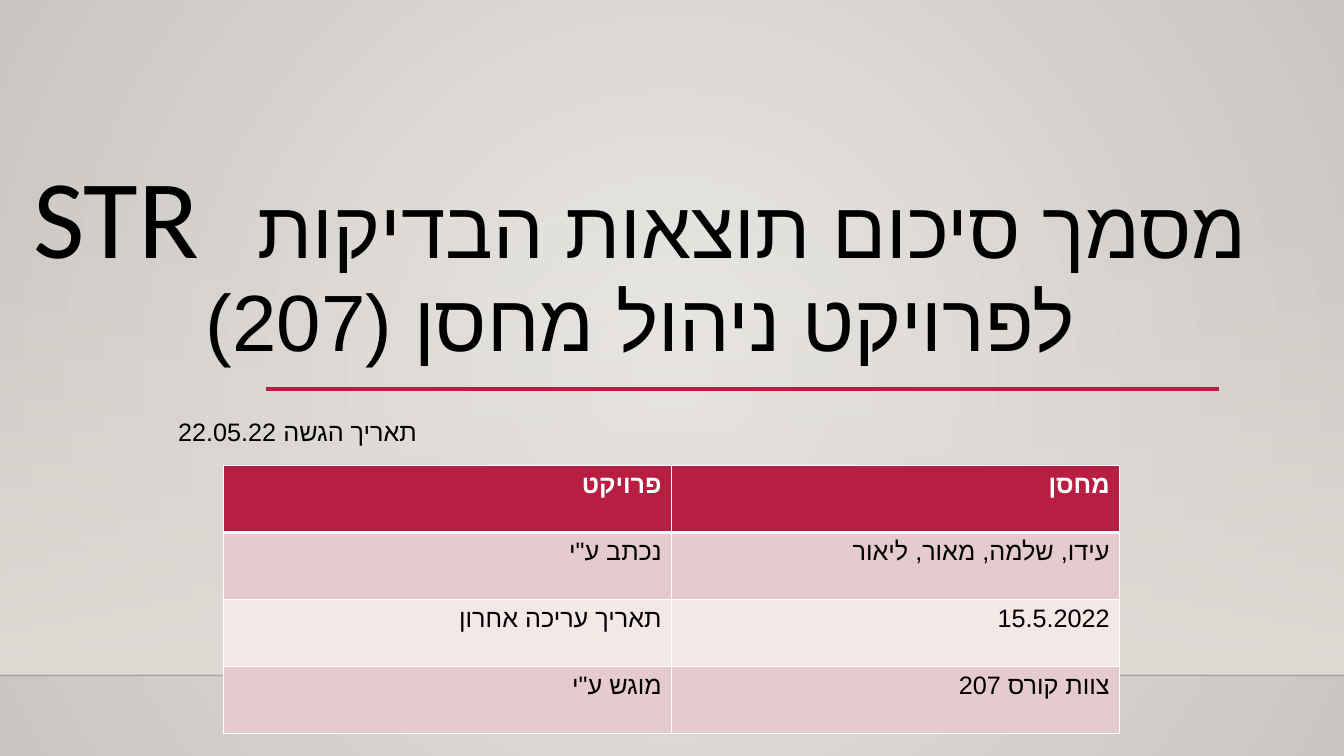
from pptx import Presentation
from pptx.dml.color import RGBColor
from pptx.enum.shapes import MSO_CONNECTOR, MSO_SHAPE
from pptx.enum.text import MSO_ANCHOR, MSO_AUTO_SIZE, PP_ALIGN
from pptx.oxml import parse_xml
from pptx.oxml.ns import nsdecls, qn
from pptx.util import Cm, Pt

LEFT, CENTER, RIGHT = PP_ALIGN.LEFT, PP_ALIGN.CENTER, PP_ALIGN.RIGHT
TOP, BOTTOM = MSO_ANCHOR.TOP, MSO_ANCHOR.BOTTOM
NO_FIT = MSO_AUTO_SIZE.NONE
RECT, STRAIGHT = MSO_SHAPE.RECTANGLE, MSO_CONNECTOR.STRAIGHT
WIDTH, HEIGHT = 33.87, 19.05


def rgb(value):
    return RGBColor.from_string(value)


def element(tag, attrs="", inner=""):
    return parse_xml(f"<a:{tag} {nsdecls('a')} {attrs}>{inner}</a:{tag}>")


def set_gradient(parent, stops, direction):
    inner = "".join(
        f'<a:gs pos="{pos * 1000}"><a:srgbClr val="{color}">'
        f'<a:alpha val="{alpha * 1000}"/></a:srgbClr></a:gs>'
        for pos, color, alpha in stops)
    grad = element("gradFill", 'rotWithShape="1"', f"<a:gsLst>{inner}</a:gsLst>{direction}")
    parent.replace(parent.find(qn("a:solidFill")), grad)


def add_run(p, text, size, font="Calibri", color="000000", bold=False, gap=0):
    r = p.add_run()
    r.text = text
    r.font.size, r.font.name, r.font.bold = Pt(size), font, bold
    r.font.color.rgb = rgb(color)
    rPr = r.font._element
    rPr.append(element("cs", 'typeface="Arial"'))
    if gap:
        rPr.set("spc", str(gap * 100))


def set_paragraph(p, align, spacing=1.0):
    p.alignment, p.line_spacing = align, spacing
    p.space_before = p.space_after = Pt(0)
    p._p.get_or_add_pPr().set("rtl", "1")


class SlideBuilder:
    accent, band_dark, band_light = "B71E42", "E5CBCD", "F3E7E8"

    def __init__(self, prs):
        self.s = prs.slides.add_slide(prs.slide_layouts[0])

    def background(self, center, edge):
        self.s.background.fill.solid()
        bgPr = self.s.background._cSld.find(qn("p:bg")).find(qn("p:bgPr"))
        set_gradient(bgPr, [(0, center, 100), (100, edge, 100)],
                     '<a:path path="circle"><a:fillToRect l="50000" t="50000" '
                     'r="50000" b="50000"/></a:path>')

    def fading_panel(self, x, y, w, h, color):
        sp = self.s.shapes.add_shape(RECT, Cm(x), Cm(y), Cm(w), Cm(h))
        sp.shadow.inherit = False
        sp.line.fill.background()
        sp.fill.solid()
        set_gradient(sp._element.spPr, [(0, color, 0), (100, color, 100)],
                     '<a:lin ang="5400000" scaled="0"/>')

    def rule(self, x1, x2, y, color, width, alpha=100):
        line = self.s.shapes.add_connector(STRAIGHT, Cm(x1), Cm(y), Cm(x2), Cm(y))
        line.line.width = Pt(width)
        line.line.color.rgb = rgb(color)
        spPr = line._element.spPr
        clr = spPr.find(qn("a:ln")).find(qn("a:solidFill"))[0]
        clr.append(element("alpha", f'val="{alpha * 1000}"'))
        spPr.append(element("effectLst"))

    def placeholder(self, idx, box, runs, align, anchor, spacing, top, bottom):
        sp = self.s.placeholders[idx]
        sp.left, sp.top, sp.width, sp.height = map(Cm, box)
        self.s.shapes._spTree.append(sp._element)
        tf = sp.text_frame
        tf.word_wrap, tf.auto_size, tf.vertical_anchor = True, NO_FIT, anchor
        tf.margin_left = tf.margin_right = Cm(0.25)
        tf.margin_top, tf.margin_bottom = Cm(top), Cm(bottom)
        p = tf.paragraphs[0]
        set_paragraph(p, align, spacing)
        for text, size, gap in runs:
            add_run(p, text, size, gap=gap)

    def table(self, x, y, w, h, rows):
        tbl = self.s.shapes.add_table(len(rows), len(rows[0]), Cm(x), Cm(y), Cm(w), Cm(h)).table
        for i, row in enumerate(rows):
            header = i == 0
            fill = self.accent if header else self.band_dark if i % 2 else self.band_light
            for j, text in enumerate(row):
                cell = tbl.cell(i, j)
                self.borders(cell, top=3 if i == 1 else 1, bottom=3 if header else 1)
                cell.fill.solid()
                cell.fill.fore_color.rgb = rgb(fill)
                p = cell.text_frame.paragraphs[0]
                set_paragraph(p, RIGHT)
                add_run(p, text, 18, "Arial", "FFFFFF" if header else "000000", header)

    def borders(self, cell, top, bottom):
        tcPr = cell._tc.get_or_add_tcPr()
        for side, width in (("L", 1), ("R", 1), ("T", top), ("B", bottom)):
            tcPr.append(element(f"ln{side}", f'w="{Pt(width)}"',
                                '<a:solidFill><a:srgbClr val="FFFFFF"/></a:solidFill>'))


def main():
    prs = Presentation()
    prs.slide_width, prs.slide_height = Cm(WIDTH), Cm(HEIGHT)
    b = SlideBuilder(prs)
    b.background("EBE9E6", "C9C5C0")
    b.fading_panel(0, 5.61, WIDTH, 11.4, "DFDBD5")
    b.rule(0, WIDTH, 17.02, "000001", 1, alpha=20)
    b.rule(6.71, 30.71, 9.8, b.accent, 2.5)
    b.placeholder(0, (0.28, 2.59, 31.72, 6.71),
                  [("מסמך סיכום תוצאות הבדיקות", 57, 0), (" ", 57, 26),
                   ("STR", 80, 0), (" לפרויקט ניהול מחסן (207)", 57, 0)],
                  CENTER, BOTTOM, 0.9, 0.13, 0)
    b.placeholder(1, (4.24, 10.08, 25.4, 4.6), [("תאריך הגשה 22.05.22", 18, 0)],
                  LEFT, TOP, 1.2, 0.25, 0.25)
    b.table(5.64, 11.73, 22.58, 6.76, [
        ("פרויקט", "מחסן"),
        ("נכתב ע\"י", "עידו, שלמה, מאור, ליאור"),
        ("תאריך עריכה אחרון", "15.5.2022"),
        ("מוגש ע\"י", "צוות קורס 207"),
    ])
    prs.save("out.pptx")


if __name__ == "__main__":
    main()
